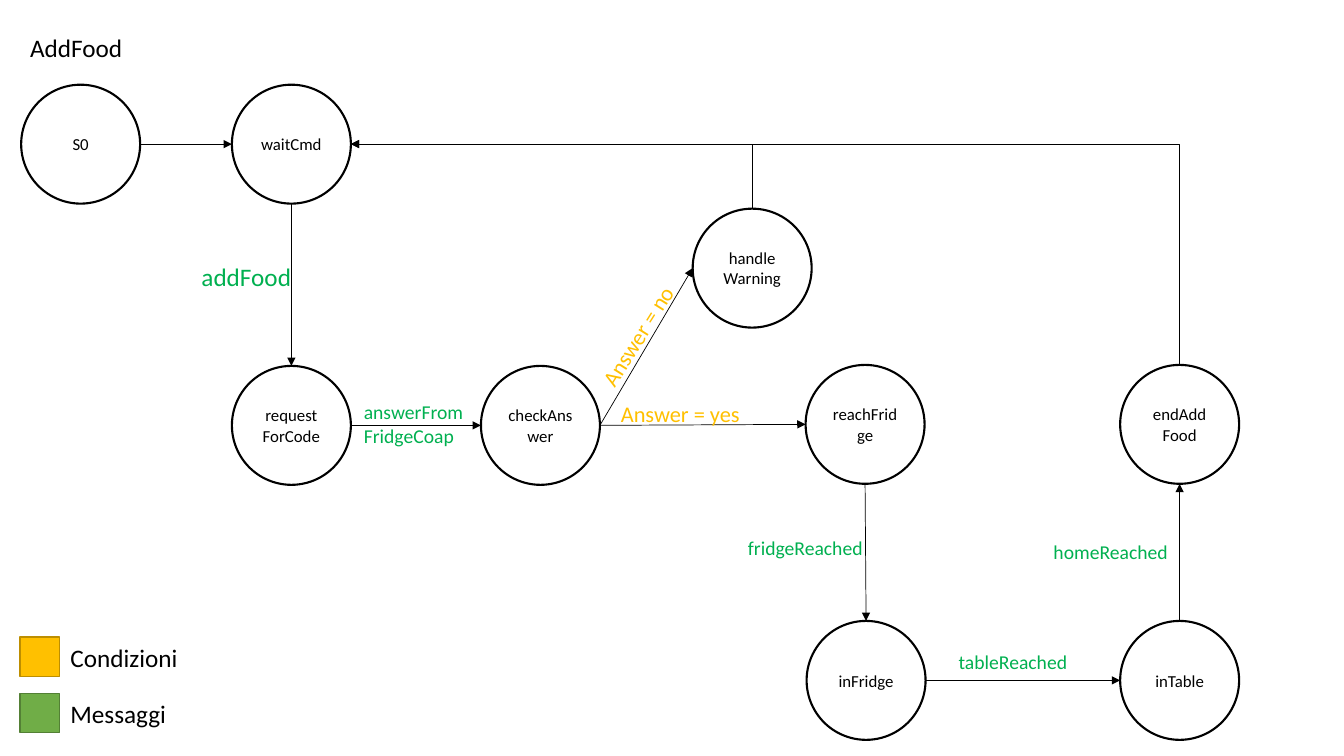
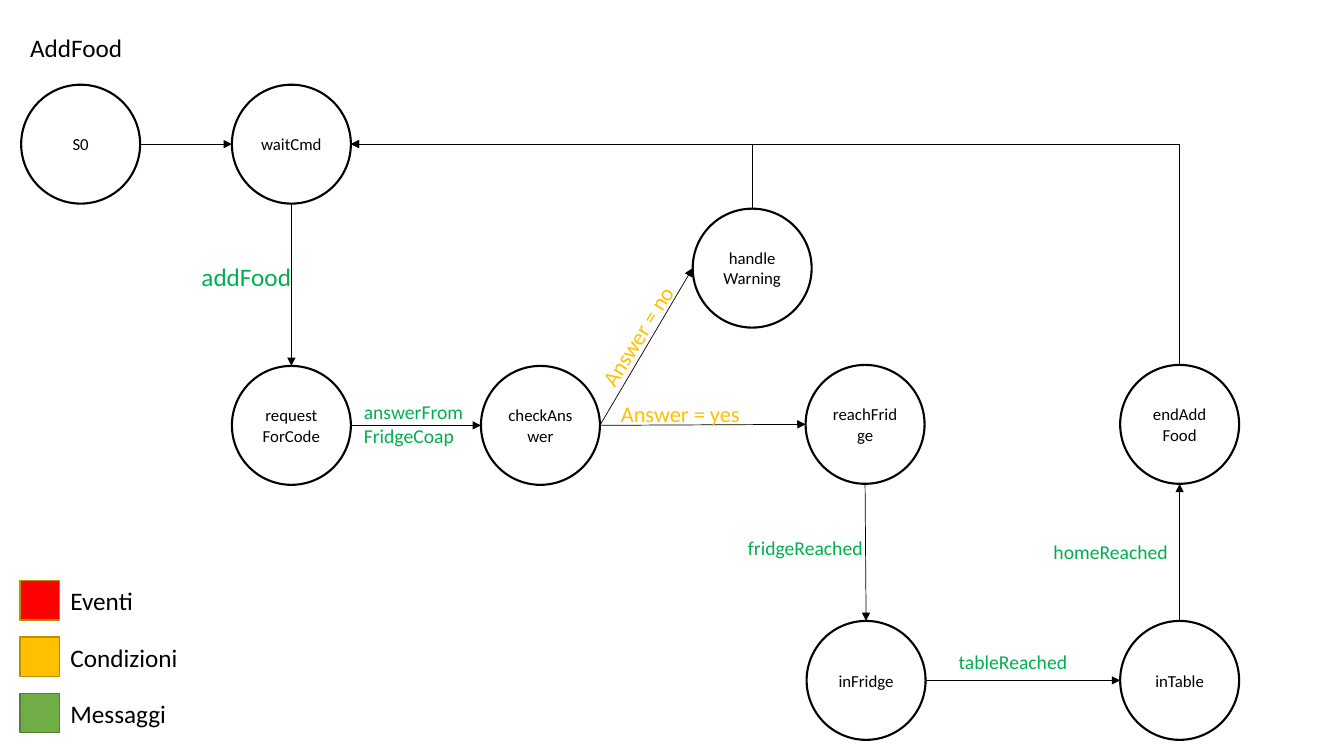
from lxml.etree import SubElement
from pptx import Presentation
from pptx.dml.color import RGBColor
from pptx.enum.shapes import MSO_CONNECTOR as Connector, MSO_SHAPE as Shape
from pptx.enum.text import MSO_ANCHOR as Anchor, MSO_AUTO_SIZE as AutoSize, PP_ALIGN as Align
from pptx.oxml.ns import qn
from pptx.util import Pt

EMU_PER_PX = 9144  # 100 px to the inch
FONT = "Calibri"
BLACK, WHITE = "000000", "FFFFFF"
MESSAGE, CONDITION = "00B050", "FFC000"
AMBER_EDGE, GREEN_EDGE = "BD8E00", "538035"

CIRCLE = 118
SWATCH = 39
LEGEND_LEFT, LEGEND_LAST_TOP, LEGEND_PITCH = 20, 688, 56

# Ellipse connection site, and its place as fractions of width and height
SIDES = {"top": (0, 0.5, 0), "left": (2, 0, 0.5), "bottom": (4, 0.5, 1), "right": (6, 1, 0.5)}

# Name: left, top, label
STATES = {
    "start": (21, 84, "S0"),
    "wait": (230, 84, "waitCmd"),
    "request": (230, 363, "request ForCode"),
    "check": (477, 363, "checkAnswer"),
    "warning": (687, 207, "handle Warning"),
    "reach": (799, 362, "reachFridge"),
    "fridge": (800, 616, "inFridge"),
    "table": (1111, 616, "inTable"),
    "end": (1111, 362, "endAdd Food"),
}
STRAIGHT_ARROWS = [
    ("start", "right", "wait", "left"),
    ("wait", "bottom", "request", "top"),
    ("request", "right", "check", "left"),
    ("check", "right", "reach", "left"),
    ("check", "right", "warning", "left"),
    ("reach", "bottom", "fridge", "top"),
    ("fridge", "right", "table", "left"),
    ("table", "top", "end", "bottom"),
]
RETURNING_STATES = ["end", "warning"]

# Left, top, width, height, lines, size, colour, rotation
LABELS = [
    (20, 27, 113, 40, ["AddFood"], 18, BLACK, 0),
    (190, 254, 110, 40, ["addFood"], 18, MESSAGE, 0),
    (351, 392, 120, 57, ["answerFrom", "FridgeCoap"], 14, MESSAGE, 0),
    (732, 527, 135, 34, ["fridgeReached"], 14, MESSAGE, 0),
    (1035, 531, 135, 34, ["homeReached"], 14, MESSAGE, 0),
    (941, 640, 129, 34, ["tableReached"], 14, MESSAGE, 0),
    (606, 392, 140, 37, ["Answer = yes"], 16, CONDITION, 0),
    (566, 314, 134, 37, ["Answer = no"], 16, CONDITION, 302.1),
]

# Label, label width, fill, edge
EVENTS = ("Eventi", 83, "FF0000", AMBER_EDGE)
CONDITIONS = ("Condizioni", 128, CONDITION, AMBER_EDGE)
MESSAGES = ("Messaggi", 116, "70AD47", GREEN_EDGE)


def px(value):
    return round(value * EMU_PER_PX)


def rgb(hex_colour):
    return RGBColor.from_string(hex_colour)


def write(paragraph, text, size, colour):
    run = paragraph.add_run()
    run.text = text
    run.font.name = FONT
    run.font.size = Pt(size)
    run.font.color.rgb = rgb(colour)


def add_label(slide, left, top, width, height, lines, size, colour, rotation=0):
    box = slide.shapes.add_textbox(px(left), px(top), px(width), px(height))
    box.rotation = rotation
    frame = box.text_frame
    frame.word_wrap = False
    frame.auto_size = AutoSize.SHAPE_TO_FIT_TEXT
    for index, line in enumerate(lines):
        paragraph = frame.add_paragraph() if index else frame.paragraphs[0]
        write(paragraph, line, size, colour)


def add_outlined(slide, kind, left, top, size, fill, edge, edge_width):
    shape = slide.shapes.add_shape(kind, px(left), px(top), px(size), px(size))
    shape.shadow.inherit = False
    shape.fill.solid()
    shape.fill.fore_color.rgb = rgb(fill)
    shape.line.color.rgb = rgb(edge)
    shape.line.width = Pt(edge_width)
    return shape


def add_state(slide, left, top, label):
    circle = add_outlined(slide, Shape.OVAL, left, top, CIRCLE, WHITE, BLACK, 1.5)
    frame = circle.text_frame
    frame.word_wrap = True
    frame.vertical_anchor = Anchor.MIDDLE
    paragraph = frame.paragraphs[0]
    paragraph.alignment = Align.CENTER
    write(paragraph, label, 12, BLACK)
    return circle


def side_point(circle, side):
    _, across, down = SIDES[side]
    return round(circle.left + across * circle.width), round(circle.top + down * circle.height)


def finish_arrow(connector, source, source_side, target, target_side):
    """Style the arrow and glue both ends to the circles' connection sites."""
    connector.line.color.rgb = rgb(BLACK)
    connector.line.width = Pt(0.5)
    properties = connector._element.spPr
    SubElement(properties.find(qn("a:ln")), qn("a:tailEnd"), type="triangle")
    SubElement(properties, qn("a:effectLst"))
    joints = connector._element.nvCxnSpPr.cNvCxnSpPr
    for tag, circle, side in (("a:stCxn", source, source_side), ("a:endCxn", target, target_side)):
        SubElement(joints, qn(tag), id=str(circle.shape_id), idx=str(SIDES[side][0]))


def add_straight_arrow(slide, source, source_side, target, target_side):
    begin = side_point(source, source_side)
    end = side_point(target, target_side)
    connector = slide.shapes.add_connector(Connector.STRAIGHT, *begin, *end)
    finish_arrow(connector, source, source_side, target, target_side)


def add_return_arrow(slide, source, target):
    """Go up from the source's top, then left into the target's right side."""
    begin_x, begin_y = side_point(source, "top")
    end_x, end_y = side_point(target, "right")
    rise, run = begin_y - end_y, begin_x - end_x
    # The elbow is laid out sideways around its centre, then turned by 270 degrees
    left = (begin_x + end_x - rise) // 2
    top = (begin_y + end_y - run) // 2
    connector = slide.shapes.add_connector(Connector.ELBOW, left, top + run, left + rise, top)
    properties = connector._element.spPr
    properties.find(qn("a:xfrm")).set("rot", str(270 * 60000))
    properties.find(qn("a:prstGeom")).set("prst", "bentConnector2")
    finish_arrow(connector, source, "top", target, "right")


def add_legend(slide, entries):
    """Stack the entries so that the last one sits at the foot of the slide."""
    first_top = LEGEND_LAST_TOP - LEGEND_PITCH * (len(entries) - 1)
    for index, (label, width, fill, edge) in enumerate(entries):
        top = first_top + index * LEGEND_PITCH
        add_outlined(slide, Shape.RECTANGLE, LEGEND_LEFT, top, SWATCH, fill, edge, 1)
        add_label(slide, LEGEND_LEFT + SWATCH + 1, top, width, 40, [label], 18, BLACK)


def add_state_diagram(slide):
    circles = {name: add_state(slide, *state) for name, state in STATES.items()}
    for source, source_side, target, target_side in STRAIGHT_ARROWS:
        add_straight_arrow(slide, circles[source], source_side, circles[target], target_side)
    for name in RETURNING_STATES:
        add_return_arrow(slide, circles[name], circles["wait"])
    for label in LABELS:
        add_label(slide, *label)


def main():
    presentation = Presentation()
    presentation.slide_width = px(1333)
    presentation.slide_height = px(750)
    blank = presentation.slide_layouts[6]
    for legend in ([CONDITIONS, MESSAGES], [EVENTS, CONDITIONS, MESSAGES]):
        slide = presentation.slides.add_slide(blank)
        add_state_diagram(slide)
        add_legend(slide, legend)
    presentation.save("out.pptx")


if __name__ == "__main__":
    main()
